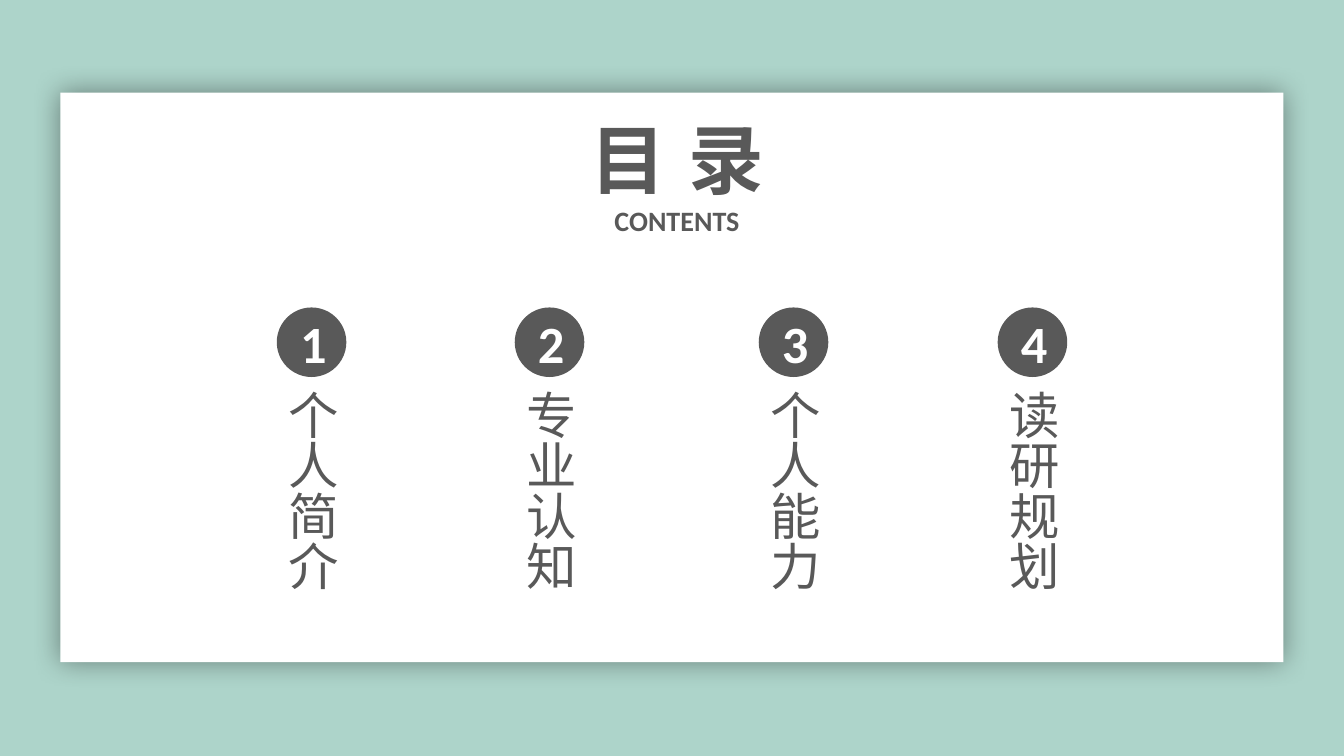
from dataclasses import dataclass

from lxml import etree
from pptx import Presentation
from pptx.dml.color import RGBColor
from pptx.enum.shapes import MSO_SHAPE
from pptx.enum.text import MSO_ANCHOR, MSO_AUTO_SIZE, PP_ALIGN
from pptx.oxml.ns import qn
from pptx.util import Inches, Pt

RECT, OVAL = MSO_SHAPE.RECTANGLE, MSO_SHAPE.OVAL
MIDDLE, CENTER = MSO_ANCHOR.MIDDLE, PP_ALIGN.CENTER


@dataclass(frozen=True)
class Theme:
    font: str = "Calibri"
    mint: RGBColor = RGBColor(0xAD, 0xD4, 0xCA)
    grey: RGBColor = RGBColor(0x59, 0x59, 0x59)
    white: RGBColor = RGBColor(0xFF, 0xFF, 0xFF)
    title: float = 54
    subtitle: float = 20
    number: float = 37.4
    label: float = 36


THEME = Theme()


def add_plain_shape(kind, left, top, width, height, color):
    sp = slide.shapes.add_shape(
        kind, Inches(left), Inches(top), Inches(width), Inches(height))
    sp.shadow.inherit = False
    sp.fill.solid()
    sp.fill.fore_color.rgb = color
    sp.line.fill.background()
    return sp


def write(p, text, size, color, bold):
    p.text = text
    p.alignment = CENTER
    p.font.name = THEME.font
    p.font.size = Pt(size)
    p.font.bold = bold
    p.font.color.rgb = color


prs = Presentation()
prs.slide_width, prs.slide_height = Inches(13.33), Inches(7.5)
slide = prs.slides.add_slide(prs.slide_layouts[5])
slide.background.fill.solid()
slide.background.fill.fore_color.rgb = THEME.mint

# White panel with a soft glow-like shadow
panel = add_plain_shape(RECT, 0.6, 0.92, 12.13, 5.65, THEME.white)
effects = panel._element.spPr.find(qn("a:effectLst"))
shadow = etree.SubElement(effects, qn("a:outerShdw"), blurRad=str(Pt(20)),
                          dist="0", dir="0", algn="ctr", rotWithShape="0")
black = etree.SubElement(shadow, qn("a:srgbClr"), val="000000")
etree.SubElement(black, qn("a:alpha"), val="40000")

# Contents: numbered circle above a vertical label
SECTIONS = [(3.09, "个人简介"), (5.45, "专业认知"), (7.87, "个人能力"), (10.24, "读研规划")]
CIRCLE, LABEL_W = 0.69, 0.6

for number, (center, label) in enumerate(SECTIONS, 1):
    box = slide.shapes.add_textbox(Inches(center - LABEL_W / 2), Inches(3.87),
                                   Inches(LABEL_W), Inches(2.32))
    tf = box.text_frame
    tf.word_wrap = True
    tf.vertical_anchor = MIDDLE
    tf.margin_left = tf.margin_right = tf.margin_top = tf.margin_bottom = 0
    tf._txBody.bodyPr.set("vert", "eaVert")
    write(tf.paragraphs[0], label, THEME.label, THEME.grey, False)

    circle = add_plain_shape(OVAL, center - CIRCLE / 2, 3.05, CIRCLE, CIRCLE, THEME.grey)
    tf = circle.text_frame
    tf.vertical_anchor = MIDDLE
    tf.margin_left = tf.margin_right = Inches(0.13)
    tf.margin_top = tf.margin_bottom = Inches(0.07)
    write(tf.paragraphs[0], str(number), THEME.number, THEME.white, True)

# Title, brought in front of the panel
title = slide.shapes.title
title.left, title.top = Inches(5.63), Inches(1.07)
title.width, title.height = Inches(2.17), Inches(1.35)
slide.shapes._spTree.append(title._element)
tf = title.text_frame
tf.word_wrap = False
tf.auto_size = MSO_AUTO_SIZE.SHAPE_TO_FIT_TEXT
tf.vertical_anchor = MSO_ANCHOR.TOP
write(tf.paragraphs[0], "目录", THEME.title, THEME.grey, True)
tf.paragraphs[0].runs[0].font._element.set("spc", "1600")
write(tf.add_paragraph(), "CONTENTS", THEME.subtitle, THEME.grey, True)
for p in tf.paragraphs:
    p.space_before = Pt(0)

prs.save("out.pptx")
